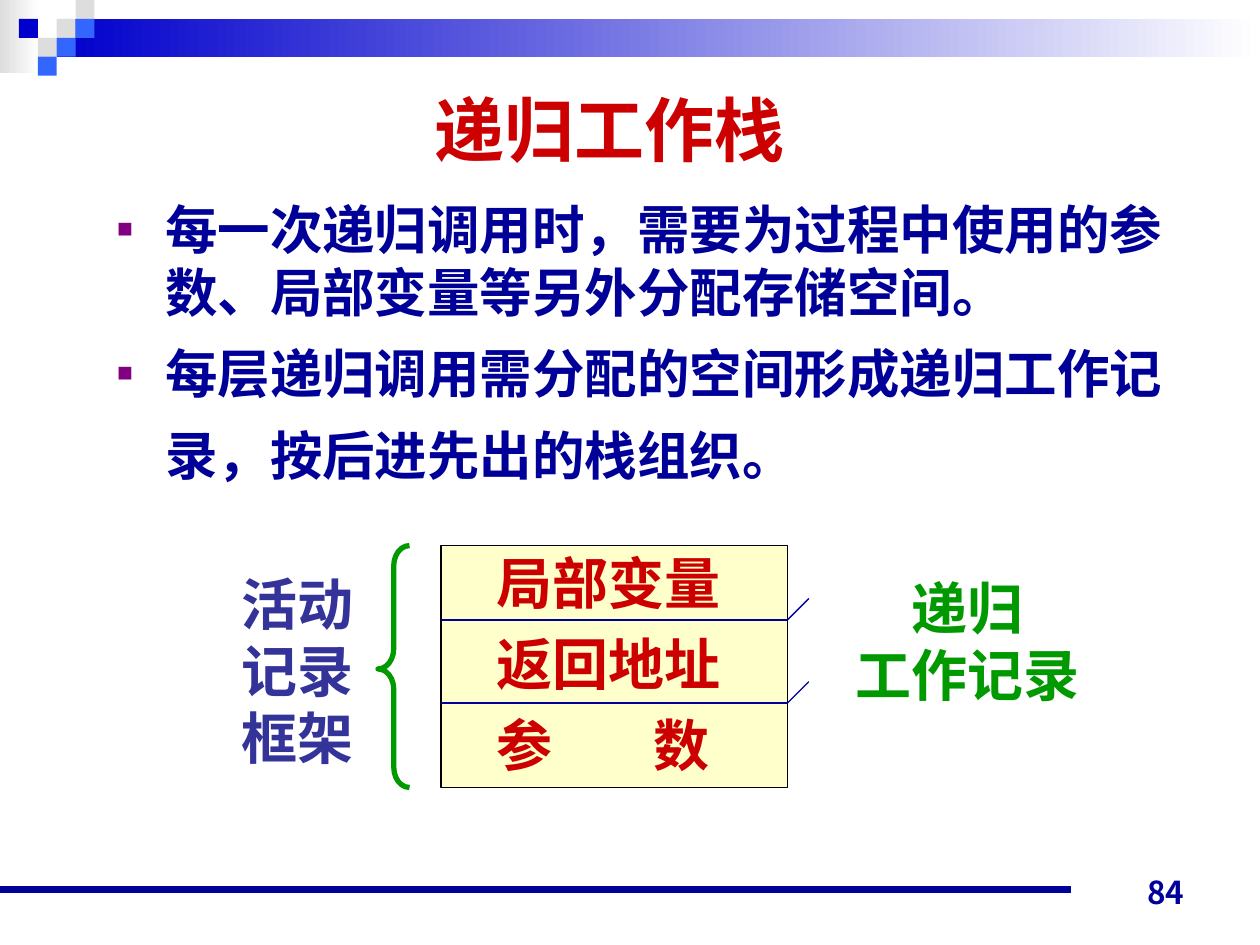
from lxml.etree import SubElement
from pptx import Presentation
from pptx.dml.color import RGBColor
from pptx.enum.shapes import MSO_CONNECTOR, MSO_SHAPE
from pptx.enum.text import MSO_ANCHOR, MSO_AUTO_SIZE, PP_ALIGN
from pptx.oxml.ns import qn
from pptx.util import Inches, Pt


def color(code):
    return RGBColor.from_string(code)


def apply(target, values):
    for name, value in values.items():
        setattr(target, name, value)


def place(shape, box):
    apply(shape, dict(zip(("left", "top", "width", "height"), map(Inches, box))))


def block(slide, box, fill, line=None, kind=MSO_SHAPE.RECTANGLE, weight=0.75):
    shape = slide.shapes.add_shape(kind, *map(Inches, box))
    shape.shadow.inherit = False
    if isinstance(fill, tuple):
        shape.fill.gradient()
        shape.fill.gradient_angle = 0
        for stop, code in zip(shape.fill.gradient_stops, fill):
            stop.color.rgb = color(code)
    elif fill:
        shape.fill.solid()
        shape.fill.fore_color.rgb = color(fill)
    else:
        shape.fill.background()
    if line:
        shape.line.color.rgb = color(line)
        shape.line.width = Pt(weight)
    else:
        shape.line.fill.background()
    return shape


def rule(slide, start, end, weight=0.75):
    ends = map(Inches, (*start, *end))
    line = slide.shapes.add_connector(MSO_CONNECTOR.STRAIGHT, *ends)
    line.line.color.rgb = color("000099")
    line.line.width = Pt(weight)
    SubElement(line._element.spPr, qn("a:effectLst"))


def write(shape, lines, size, code, face, align=PP_ALIGN.LEFT,
          anchor=MSO_ANCHOR.TOP, wrap=True):
    frame = shape.text_frame
    apply(frame, {"word_wrap": wrap, "auto_size": MSO_AUTO_SIZE.NONE,
                  "vertical_anchor": anchor})
    for index, text in enumerate(lines):
        para = frame.add_paragraph() if index else frame.paragraphs[0]
        apply(para, {"alignment": align, "space_before": Pt(0)})
        run = para.add_run()
        run.text = text
        apply(run.font, {"size": Pt(size), "bold": True, "name": face})
        run.font.color.rgb = color(code)
    return frame.paragraphs


def label(slide, box, lines, size, code, face="Times New Roman", **style):
    shape = slide.shapes.add_textbox(*map(Inches, box))
    return write(shape, lines, size, code, face, **style)


def bullet(para):
    props = para._p.get_or_add_pPr()
    props.set("marL", str(Inches(0.38)))
    props.set("indent", str(-Inches(0.38)))
    SubElement(SubElement(props, qn("a:buClr")), qn("a:srgbClr"), val="800080")
    SubElement(props, qn("a:buSzPct"), val="50000")
    SubElement(props, qn("a:buChar"), char="■")


def banner(slide, box):
    left, top, width, height = box
    cell = height / 4
    block(slide, (left, top, 0.31, 0.58), ("DDDDDD", "FFFFFF"))
    bar = (left + 3 * cell, top + cell, width - 3 * cell, 2 * cell)
    block(slide, bar, ("0000CC", "FFFFFF"))
    tiles = {
        "DDDDDD": ((3, 1), (4, 0), (2, 2)),
        "3366FF": ((4, 1), (3, 2), (2, 3)),
        "0000CC": ((1, 1),),
    }
    for code, spots in tiles.items():
        for col, row in spots:
            block(slide, (left + col * cell, top + row * cell, cell, cell), code)


def footer(slide, box):
    left, top, width, height = box
    mid = top + 0.28
    rule(slide, (left, mid), (left + 8.5, mid), 4.5)
    label(slide, (left + width - 2.33, top, 2.33, height), ["84"], 18, "000099",
          "Noto Sans CJK JP", align=PP_ALIGN.RIGHT, anchor=MSO_ANCHOR.BOTTOM)


def heading(slide, box):
    title = slide.shapes.title
    place(title, box)
    write(title, ["递归工作栈"], 40, "CC0000", "Calibri",
          align=PP_ALIGN.CENTER, anchor=MSO_ANCHOR.MIDDLE)


def points(slide, box):
    body = slide.placeholders[1]
    place(body, box)
    lines = [
        "每一次递归调用时，需要为过程中使用的参数、局部变量等另外分配存储空间。",
        "每层递归调用需分配的空间形成递归工作记录，按后进先出的栈组织。",
    ]
    paras = write(body, lines, 30, "000099", "Calibri")
    for para in paras:
        bullet(para)
    paras[1].line_spacing = 1.3


def stack(slide, box):
    left, top, width, height = box
    right = left + width
    block(slide, box, "FFFFCC", "000000")
    for drop in (0.59, 1.25):
        level = top + drop
        rule(slide, (left, level), (right, level))
        rule(slide, (right, level), (right + 0.17, level - 0.17))
    paras = label(slide, (left + 0.34, top - 0.08, 2.24, 2.56),
                  ["局部变量", "返回地址", "参\t数"], 32, "CC0000")
    for index, para in enumerate(paras):
        apply(para, {"line_spacing": 1.1, "space_before": Pt(4 if index else 0)})
    tabs = SubElement(paras[2]._p.get_or_add_pPr(), qn("a:tabLst"))
    SubElement(tabs, qn("a:tab"), pos=str(Inches(1.25)), algn="l")
    brace = block(slide, (left - 0.5, top, 0.25, height), None, "009900",
                  MSO_SHAPE.LEFT_BRACE, 3)
    brace.adjustments[0] = 0.64
    brace.adjustments[1] = 0.51
    label(slide, (left - 1.68, top + 0.14, 1.18, 1.7), ["活动记录框架"], 32, "333399")
    label(slide, (right + 0.44, top + 0.17, 1.98, 1.17), ["递归", "工作记录"],
          32, "009900", align=PP_ALIGN.CENTER, wrap=False)


def main():
    deck = Presentation()
    apply(deck, {"slide_width": Inches(10), "slide_height": Inches(7.5)})
    slide = deck.slides.add_slide(deck.slide_layouts[1])
    banner(slide, (0, 0, 10, 0.6))
    footer(slide, (0, 6.78, 9.5, 0.5))
    heading(slide, (1.5, 0.58, 6.67, 0.88))
    points(slide, (0.83, 1.51, 8.5, 5.67))
    stack(slide, (3.5, 4.33, 2.75, 1.92))
    deck.save("out.pptx")


if __name__ == "__main__":
    main()
